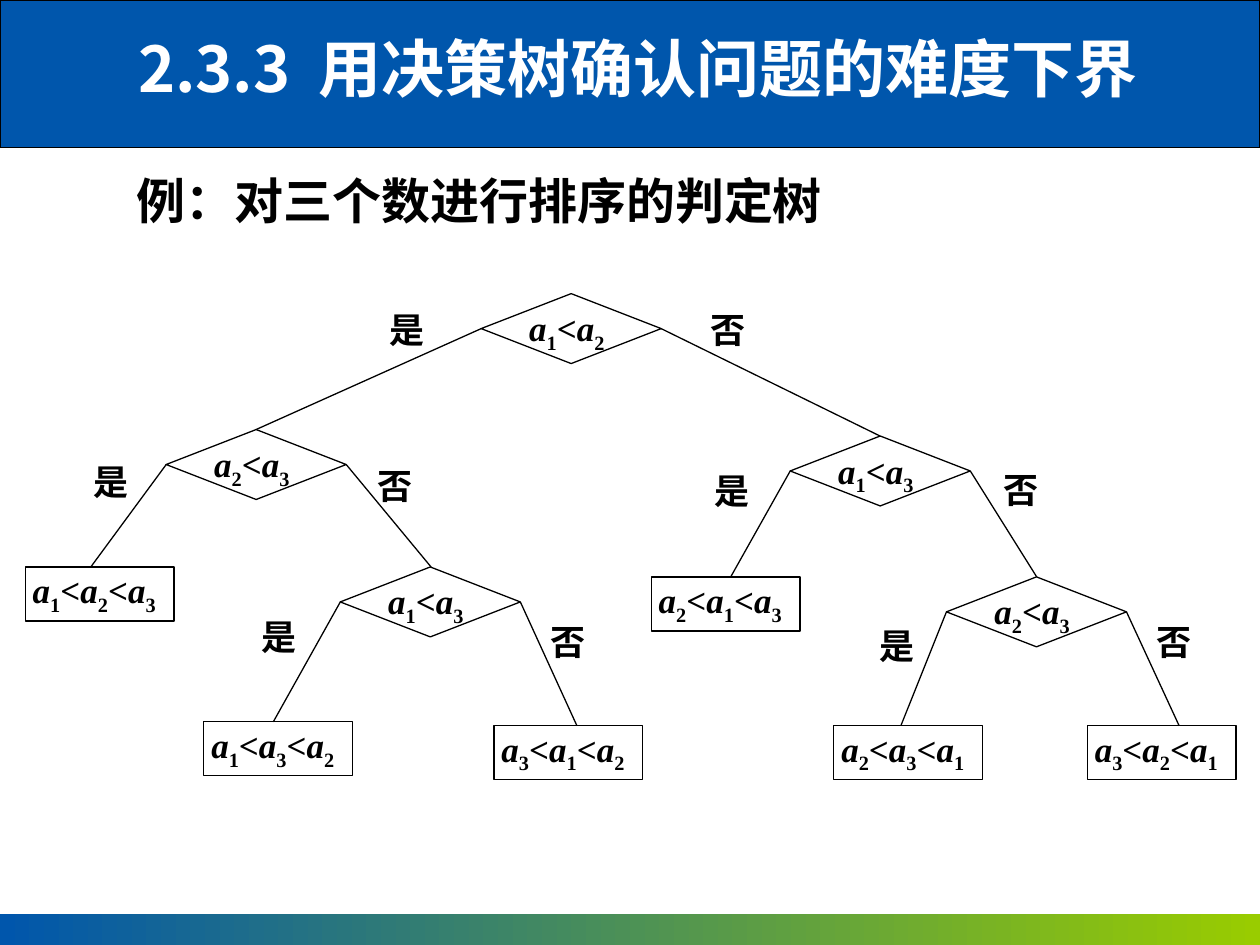
from dataclasses import dataclass

from lxml import etree
from pptx import Presentation
from pptx.dml.color import RGBColor
from pptx.enum.shapes import MSO_CONNECTOR, MSO_SHAPE
from pptx.enum.text import MSO_ANCHOR, MSO_AUTO_SIZE, PP_ALIGN
from pptx.oxml.ns import qn
from pptx.util import Cm, Pt

RECTANGLE, DIAMOND = MSO_SHAPE.RECTANGLE, MSO_SHAPE.DIAMOND
STRAIGHT = MSO_CONNECTOR.STRAIGHT
TOP, MIDDLE = MSO_ANCHOR.TOP, MSO_ANCHOR.MIDDLE
LEFT, CENTER, JUSTIFY = PP_ALIGN.LEFT, PP_ALIGN.CENTER, PP_ALIGN.JUSTIFY
NO_AUTOFIT = MSO_AUTO_SIZE.NONE


@dataclass(frozen=True)
class Theme:
    """Colours, fonts and type sizes of the slide."""
    blue: RGBColor = RGBColor(0x00, 0x56, 0xAC)
    green: RGBColor = RGBColor(0x99, 0xCC, 0x00)
    black: RGBColor = RGBColor(0, 0, 0)
    white: RGBColor = RGBColor(255, 255, 255)
    heading_font: str = "Noto Sans CJK SC"
    tree_font: str = "Times New Roman"
    title_size: int = 36
    body_size: int = 28
    tree_size: int = 20
    line_width: float = 0.75


THEME = Theme()
DIAMOND_SIZE = (3.63, 1.41)
LEAF_SIZE = (3.0, 1.09)
LABEL_SIZE = (0.89, 0.71)

DECISIONS = {
    "root": ("12", 9.7, 5.92),
    "left": ("23", 3.35, 8.66),
    "right": ("13", 15.93, 8.79),
    "left low": ("13", 6.86, 11.43),
    "right low": ("23", 19.08, 11.63),
}
LEAVES = {
    "123": (0.51, 11.43),
    "213": (13.13, 11.63),
    "132": (4.11, 14.55),
    "312": (9.96, 14.63),
    "231": (16.81, 14.63),
    "321": (21.92, 14.63),
}
BRANCHES = [
    ("root", "是", (7.85, 6.38), (5.16, 8.66)),
    ("root", "否", (14.33, 6.38), (17.74, 8.79)),
    ("left", "是", (1.88, 9.45), (1.83, 11.43)),
    ("left", "否", (7.62, 9.53), (8.69, 11.43)),
    ("right", "是", (14.4, 9.63), (14.73, 11.63)),
    ("right", "否", (20.24, 9.6), (20.9, 11.63)),
    ("left low", "是", (5.28, 12.57), (5.51, 14.55)),
    ("left low", "否", (11.1, 12.67), (11.63, 14.63)),
    ("right low", "是", (17.73, 12.75), (18.16, 14.63)),
    ("right low", "否", (23.32, 12.67), (23.77, 14.63)),
]


def lengths(*values):
    """Turn centimetre values into lengths."""
    return [Cm(value) for value in values]


def add_run(paragraph, text, size, color, font_name, italic=False):
    """Add one bold run with its Latin and East Asian fonts."""
    run = paragraph.add_run()
    run.text = text
    font = run.font
    font.size, font.bold, font.italic = Pt(size), True, italic
    font.color.rgb, font.name = color, font_name
    properties = run._r.get_or_add_rPr()
    east_asian = etree.SubElement(properties, qn("a:ea"))
    east_asian.set("typeface", THEME.heading_font)
    return properties


def prepare_text(shape, insets, anchor, alignment, line_spacing=1.0, wrap=True):
    """Set up a text frame and return its first paragraph."""
    frame = shape.text_frame
    frame.auto_size, frame.word_wrap = NO_AUTOFIT, wrap
    frame.vertical_anchor = anchor
    (frame.margin_left, frame.margin_top,
     frame.margin_right, frame.margin_bottom) = lengths(*insets)
    paragraph = frame.paragraphs[0]
    paragraph.alignment, paragraph.line_spacing = alignment, line_spacing
    paragraph.space_before = Pt(0)
    return paragraph


def add_comparison(paragraph, indices):
    """Write a chain of subscripted variables joined by less-than signs."""
    style = (THEME.tree_size, THEME.black, THEME.tree_font)
    for position, index in enumerate(indices):
        if position:
            add_run(paragraph, "<", *style)
        add_run(paragraph, "a", *style, italic=True)
        add_run(paragraph, index, *style).set("baseline", "-25000")


def add_outline(slide, kind, left, top, size):
    """Add an unfilled shape with a thin black line."""
    shape = slide.shapes.add_shape(kind, *lengths(left, top, *size))
    shape.shadow.inherit = False
    shape.fill.background()
    shape.line.color.rgb = THEME.black
    shape.line.width = Pt(THEME.line_width)
    return shape


def add_decision(slide, indices, left, top):
    """Add a diamond holding one comparison."""
    shape = add_outline(slide, DIAMOND, left, top, DIAMOND_SIZE)
    add_comparison(prepare_text(shape, (0.06, 0, 0, 0), TOP, JUSTIFY, 0.8), indices)


def add_leaf(slide, indices, left, top):
    """Add a box holding one sorted order."""
    shape = add_outline(slide, RECTANGLE, left, top, LEAF_SIZE)
    insets = (0.15, 0.03, 0.05, 0.03)
    add_comparison(prepare_text(shape, insets, TOP, JUSTIFY, 0.96), indices)


def add_branch(slide, parent, answer, label_position, end):
    """Add a line from the side of a diamond and its answer label."""
    _, left, top = DECISIONS[parent]
    width, height = DIAMOND_SIZE
    start = (left if answer == "是" else left + width, top + height / 2)
    connector = slide.shapes.add_connector(STRAIGHT, *lengths(*start, *end))
    connector.line.color.rgb = THEME.black
    connector.line.width = Pt(THEME.line_width)
    etree.SubElement(connector._element.spPr, qn("a:effectLst"))
    label = slide.shapes.add_textbox(*lengths(*label_position, *LABEL_SIZE))
    paragraph = prepare_text(label, (0, 0, 0, 0), TOP, JUSTIFY, 0.8)
    add_run(paragraph, answer, THEME.tree_size, THEME.black, THEME.tree_font)


def add_bands(slide):
    """Add the header band and the gradient footer behind the text."""
    header = add_outline(slide, RECTANGLE, 0, 0, (25.4, 2.97))
    header.fill.solid()
    header.fill.fore_color.rgb = THEME.blue
    footer = add_outline(slide, RECTANGLE, 0, 18.42, (25.4, 0.63))
    footer.line.fill.background()
    footer.fill.gradient()
    footer.fill.gradient_angle = 0
    for stop, color in zip(footer.fill.gradient_stops, (THEME.blue, THEME.green)):
        stop.color.rgb = color
    for band in (header, footer):
        slide.shapes.title._element.addprevious(band._element)


def place(shape, left, top, width, height):
    """Move and size a placeholder."""
    shape.left, shape.top, shape.width, shape.height = lengths(left, top, width, height)


def fill_headings(slide):
    """Fill the title and the example line."""
    insets = (0.25, 0.13, 0.25, 0.13)
    title, body = slide.shapes.title, slide.placeholders[1]
    place(title, 0.76, 0.46, 24.2, 1.8)
    paragraph = prepare_text(title, insets, MIDDLE, CENTER)
    style = (THEME.title_size, THEME.white, THEME.heading_font)
    add_run(paragraph, "2.3.3", *style)
    add_run(paragraph, " ", *style).set("spc", "800")
    add_run(paragraph, "用决策树确认问题的难度下界", *style)
    place(body, 2.51, 3.3, 14.4, 1.45)
    paragraph = prepare_text(body, insets, MIDDLE, LEFT, wrap=False)
    properties = paragraph._p.get_or_add_pPr()
    properties.set("marL", "0")
    properties.set("indent", "0")
    etree.SubElement(properties, qn("a:buNone"))
    add_run(paragraph, "例：对三个数进行排序的判定树",
            THEME.body_size, THEME.black, THEME.heading_font)


def main():
    """Build the decision tree slide."""
    presentation = Presentation()
    presentation.slide_width, presentation.slide_height = lengths(25.4, 19.05)
    slide = presentation.slides.add_slide(presentation.slide_layouts[1])
    add_bands(slide)
    fill_headings(slide)
    for decision in DECISIONS.values():
        add_decision(slide, *decision)
    for indices, position in LEAVES.items():
        add_leaf(slide, indices, *position)
    for branch in BRANCHES:
        add_branch(slide, *branch)
    presentation.save("out.pptx")


main()
